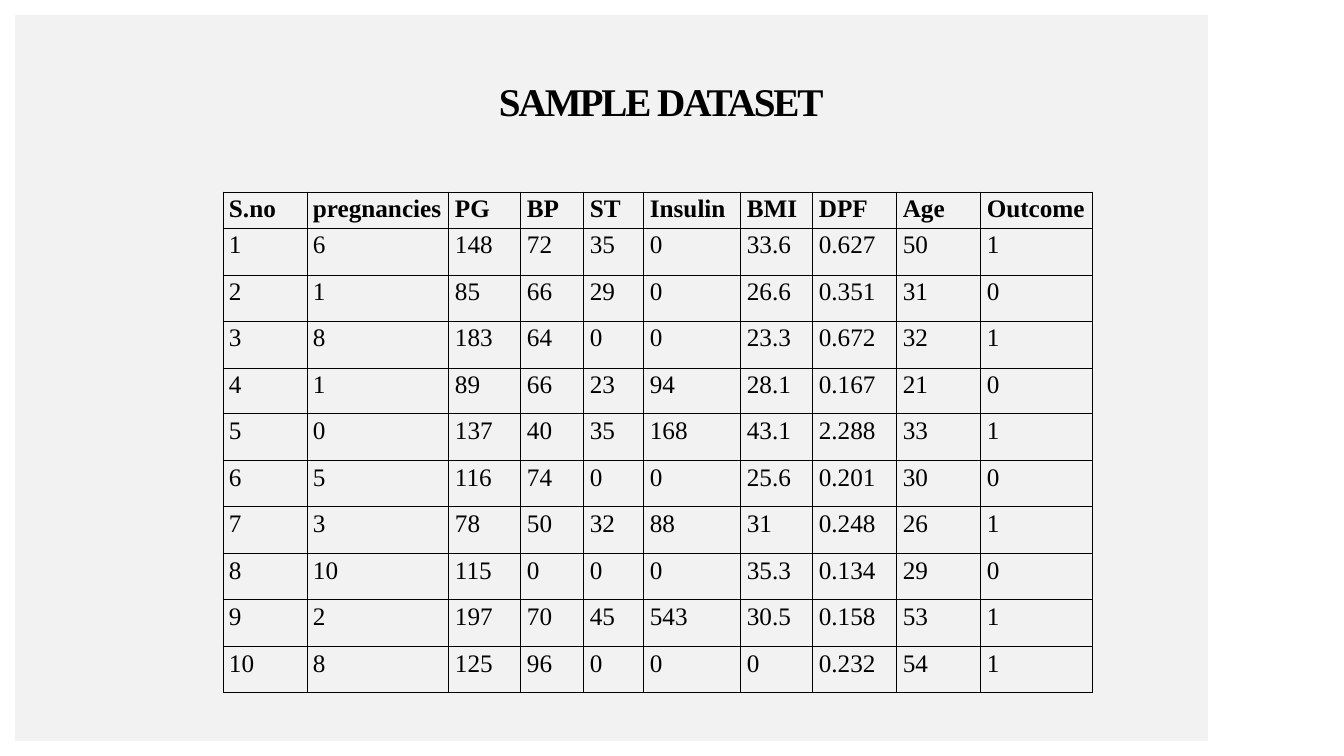
"""Build the sample dataset slide."""
from dataclasses import dataclass

from lxml.etree import SubElement
from pptx import Presentation
from pptx.dml.color import RGBColor
from pptx.enum.shapes import MSO_SHAPE
from pptx.enum.text import MSO_ANCHOR, MSO_AUTO_SIZE, PP_ALIGN
from pptx.oxml import parse_xml
from pptx.oxml.ns import nsdecls, qn
from pptx.util import Emu, Pt

BLACK = RGBColor(0x00, 0x00, 0x00)
WHITE = RGBColor(0xFF, 0xFF, 0xFF)
PALE = RGBColor(0xF2, 0xF2, 0xF2)
SERIF = "Times New Roman"
EMU_PER_PX = 914400 / 100.8
WIDTH, HEIGHT = 1344, 756
MARGIN, SIDEBAR = 15, 136

HEADERS = ("S.no", "pregnancies", "PG", "BP", "ST", "Insulin", "BMI", "DPF", "Age", "Outcome")
COLUMN_WIDTHS = (84, 142, 72, 63, 60, 97, 72, 84, 84, 112)
HEADER_HEIGHT = 36
RECORDS = (
    "6 148 72 35 0 33.6 0.627 50 1",
    "1 85 66 29 0 26.6 0.351 31 0",
    "8 183 64 0 0 23.3 0.672 32 1",
    "1 89 66 23 94 28.1 0.167 21 0",
    "0 137 40 35 168 43.1 2.288 33 1",
    "5 116 74 0 0 25.6 0.201 30 0",
    "3 78 50 32 88 31 0.248 26 1",
    "10 115 0 0 0 35.3 0.134 29 0",
    "2 197 70 45 543 30.5 0.158 53 1",
    "8 125 96 0 0 0 0.232 54 1",
)


@dataclass(frozen=True)
class Box:
    """A rectangle in pixels."""
    left: int
    top: int
    width: int
    height: int

    def emu(self) -> tuple[Emu, ...]:
        """Return the position and size in EMU."""
        return tuple(map(px, (self.left, self.top, self.width, self.height)))


@dataclass(frozen=True)
class Style:
    """The look of a run of text."""
    size: int
    bold: bool = False
    spacing: int = 0


FRAME = (
    Box(0, 0, WIDTH, MARGIN),
    Box(0, 0, MARGIN, HEIGHT),
    Box(WIDTH - SIDEBAR, 0, SIDEBAR, HEIGHT),
    Box(0, HEIGHT - MARGIN, WIDTH, MARGIN),
)
TITLE_STYLE = Style(28, True, -150)
HEADER_STYLE = Style(18, True)
BODY_STYLE = Style(18)


def px(value: int) -> Emu:
    """Convert pixels to EMU."""
    return Emu(round(value * EMU_PER_PX))


def format_run(r, style: Style) -> None:
    """Apply a style to a run."""
    r.font.size = Pt(style.size)
    r.font.name = SERIF
    r.font.bold = style.bold
    r.font.color.rgb = BLACK
    if style.spacing:
        r._r.get_or_add_rPr().set("spc", str(style.spacing))


def add_band(s, box: Box) -> None:
    """Draw one white band of the frame."""
    sp = s.shapes.add_shape(MSO_SHAPE.RECTANGLE, *box.emu())
    sp.shadow.inherit = False
    sp.fill.solid()
    sp.fill.fore_color.rgb = WHITE
    sp.line.fill.background()


def set_title(s, box: Box) -> None:
    """Fill and place the title placeholder."""
    sp = s.shapes.title
    sp.left, sp.top, sp.width, sp.height = box.emu()
    tf = sp.text_frame
    tf.text = " SAMPLE DATASET"
    tf.auto_size = MSO_AUTO_SIZE.NONE
    tf.vertical_anchor = MSO_ANCHOR.MIDDLE
    tf.margin_left = tf.margin_right = tf.margin_top = tf.margin_bottom = 0
    p = tf.paragraphs[0]
    p.alignment = PP_ALIGN.CENTER
    p.line_spacing = 0.9
    format_run(p.runs[0], TITLE_STYLE)


def add_borders(cell) -> None:
    """Rule all four sides of a cell in black."""
    tc_pr = cell._tc.get_or_add_tcPr()
    for index, side in enumerate(("lnL", "lnR", "lnT", "lnB")):
        ln = parse_xml(f'<a:{side} {nsdecls("a")} w="{Pt(0.75)}"/>')
        fill = SubElement(ln, qn("a:solidFill"))
        SubElement(fill, qn("a:srgbClr")).set("val", str(BLACK))
        tc_pr.insert(index, ln)


def fill_cell(cell, text: str, style: Style) -> None:
    """Write and format one table cell."""
    cell.text = text
    cell.margin_left = cell.margin_right = px(6)
    cell.margin_top = cell.margin_bottom = px(3)
    cell.fill.background()
    add_borders(cell)
    format_run(cell.text_frame.paragraphs[0].runs[0], style)


def add_dataset(s, left: int, top: int) -> None:
    """Draw the table of numbered records."""
    rows = [HEADERS] + [(str(n), *record.split()) for n, record in enumerate(RECORDS, 1)]
    heights = [HEADER_HEIGHT] + [46 + n % 2 for n in range(1, len(rows))]
    box = Box(left, top, sum(COLUMN_WIDTHS), sum(heights))
    table = s.shapes.add_table(len(rows), len(HEADERS), *box.emu()).table
    table.first_row = table.horz_banding = False
    for column, width in zip(table.columns, COLUMN_WIDTHS):
        column.width = px(width)
    for row, height, values in zip(table.rows, heights, rows):
        row.height = px(height)
        style = HEADER_STYLE if values is HEADERS else BODY_STYLE
        for cell, value in zip(row.cells, values):
            fill_cell(cell, value, style)


def main() -> None:
    """Build and save the slide."""
    prs = Presentation()
    prs.slide_width, prs.slide_height = px(WIDTH), px(HEIGHT)
    s = prs.slides.add_slide(prs.slide_layouts[5])
    s.background.fill.solid()
    s.background.fill.fore_color.rgb = PALE
    for band in FRAME:
        add_band(s, band)
    set_title(s, Box(103, 15, 1109, 177))
    add_dataset(s, 223, 192)
    prs.save("out.pptx")


main()
